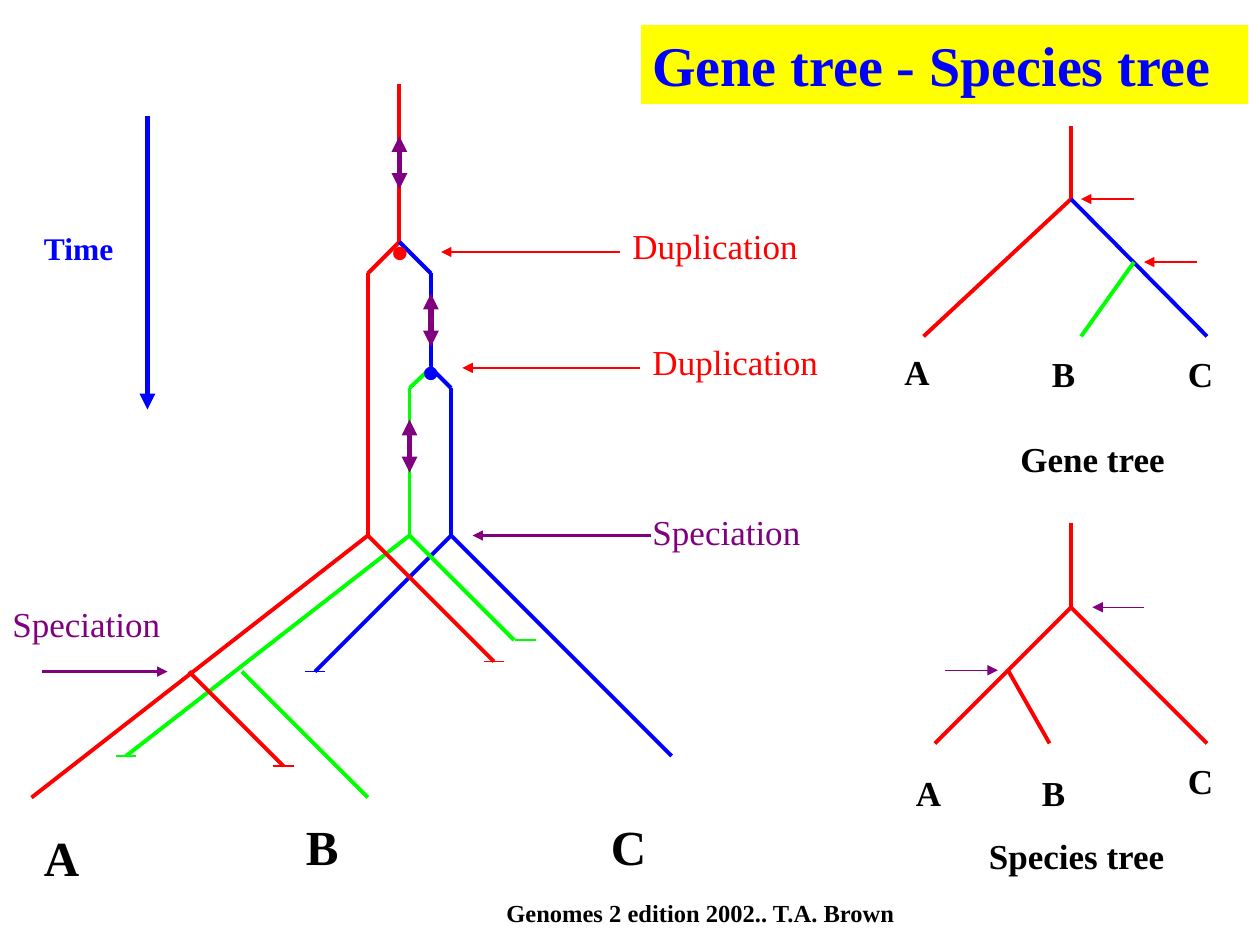
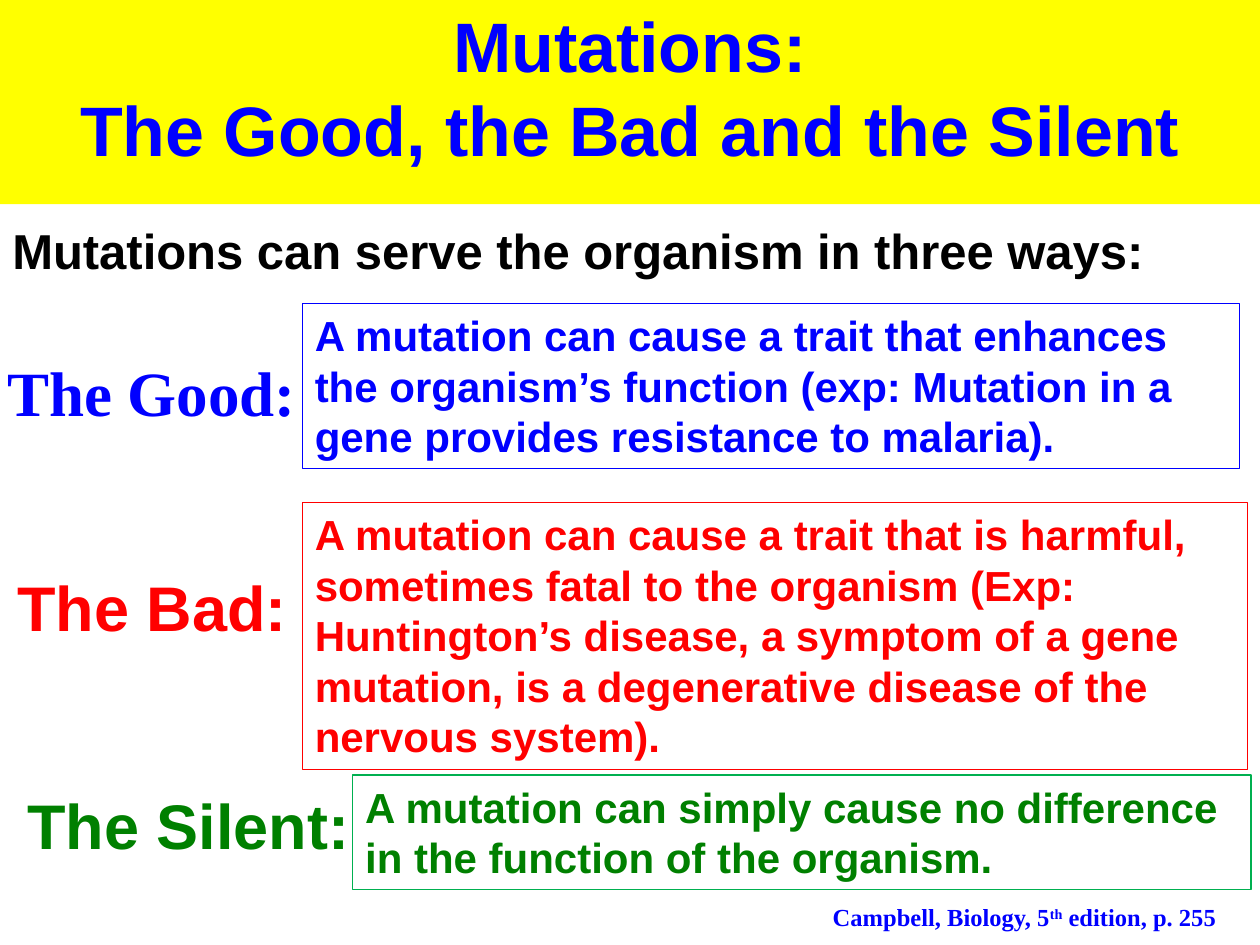
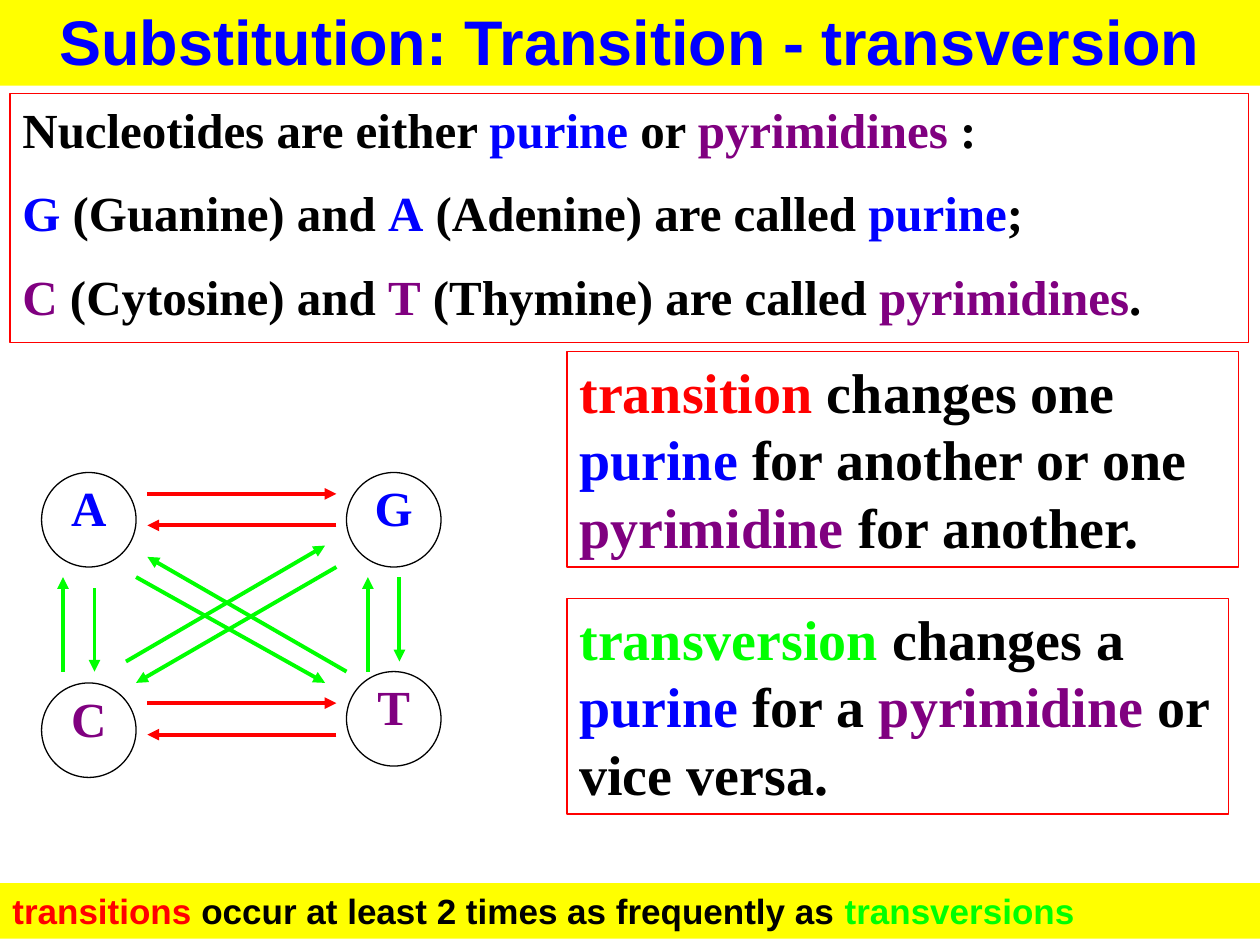
from dataclasses import dataclass
from itertools import pairwise
from typing import NamedTuple

from lxml.etree import SubElement
from pptx import Presentation
from pptx.dml.color import RGBColor
from pptx.enum.shapes import MSO_CONNECTOR, MSO_SHAPE
from pptx.enum.text import MSO_ANCHOR, PP_ALIGN
from pptx.oxml.ns import qn
from pptx.slide import Slide
from pptx.util import Inches, Pt

RED = RGBColor(0xFF, 0x00, 0x00)
BLUE = RGBColor(0x00, 0x00, 0xFF)
LIME = RGBColor(0x00, 0xFF, 0x00)
GREEN = RGBColor(0x00, 0x80, 0x00)
EMERALD = RGBColor(0x00, 0xB0, 0x50)
PURPLE = RGBColor(0x80, 0x00, 0x80)
YELLOW = RGBColor(0xFF, 0xFF, 0x00)
BLACK = RGBColor(0x00, 0x00, 0x00)
WHITE = RGBColor(0xFF, 0xFF, 0xFF)
SERIF = "Times New Roman"
SANS = "Arial"

Point = tuple[float, float]


class Box(NamedTuple):
    left: float
    top: float
    width: float
    height: float


class Piece(NamedTuple):
    text: str
    color: RGBColor = BLACK
    superscript: bool = False


class Branch(NamedTuple):
    color: RGBColor
    points: tuple[Point, ...]


class Arrow(NamedTuple):
    start: Point
    end: Point
    color: RGBColor
    width: float
    double: bool = False


@dataclass(frozen=True)
class Label:
    box: Box
    paragraphs: tuple[tuple[Piece, ...], ...]
    size: float
    font: str = SERIF
    bold: bool = True
    centered: bool = False
    fill: RGBColor | None = None
    outline: RGBColor | None = None
    space_before: float = 0
    oval: bool = False


def plain(text: str, color: RGBColor = BLACK) -> tuple[tuple[Piece, ...], ...]:
    return ((Piece(text, color),),)


def draw_label(slide: Slide, label: Label) -> None:
    bounds = [Inches(length) for length in label.box]
    if label.fill is None and label.outline is None:
        shape = slide.shapes.add_textbox(*bounds)
    else:
        preset = MSO_SHAPE.OVAL if label.oval else MSO_SHAPE.RECTANGLE
        shape = slide.shapes.add_shape(preset, *bounds)
        shape.shadow.inherit = False
        if label.fill is None:
            shape.fill.background()
        else:
            shape.fill.solid()
            shape.fill.fore_color.rgb = label.fill
        if label.outline is None:
            shape.line.fill.background()
        else:
            shape.line.color.rgb = label.outline
            shape.line.width = Pt(0.75)
    frame = shape.text_frame
    frame.word_wrap = True
    frame.vertical_anchor = MSO_ANCHOR.TOP
    if label.oval:
        frame.vertical_anchor = MSO_ANCHOR.MIDDLE
        frame.margin_left = frame.margin_right = frame.margin_top = 0
        frame.margin_bottom = Inches(0.2)
    for index, pieces in enumerate(label.paragraphs):
        paragraph = frame.add_paragraph() if index else frame.paragraphs[0]
        paragraph.alignment = PP_ALIGN.CENTER if label.centered else PP_ALIGN.LEFT
        if index and label.space_before:
            paragraph.space_before = Pt(label.space_before)
        for piece in pieces:
            run = paragraph.add_run()
            run.text = piece.text
            run.font.name = label.font
            run.font.size = Pt(label.size)
            run.font.bold = label.bold
            run.font.color.rgb = piece.color
            if piece.superscript:
                run.font._element.set("baseline", "30000")


def draw_line(slide: Slide, start: Point, end: Point, color: RGBColor,
              width: float, ends: tuple[str, ...] = ()) -> None:
    connector = slide.shapes.add_connector(
        MSO_CONNECTOR.STRAIGHT, *[Inches(length) for length in (*start, *end)])
    connector.line.color.rgb = color
    connector.line.width = Pt(width)
    outline = connector.line._get_or_add_ln()
    for end_name in ends:
        SubElement(outline, qn(f"a:{end_name}"), type="triangle")
    SubElement(connector._element.spPr, qn("a:effectLst"))


def draw_arrow(slide: Slide, arrow: Arrow) -> None:
    ends = ("headEnd", "tailEnd") if arrow.double else ("tailEnd",)
    draw_line(slide, arrow.start, arrow.end, arrow.color, arrow.width, ends)


def draw_branch(slide: Slide, branch: Branch) -> None:
    for start, end in pairwise(branch.points):
        draw_line(slide, start, end, branch.color, 2.25)


def draw_lost_copy(slide: Slide, center: Point, color: RGBColor) -> None:
    x, y = center
    draw_line(slide, (x - 0.08, y), (x + 0.08, y), color, 0.75)


def draw_title(slide: Slide, box: Box, size: float, *lines: str) -> None:
    paragraphs = tuple((Piece(line, BLUE),) for line in lines)
    draw_label(slide, Label(box, paragraphs, size, SANS, centered=True, fill=YELLOW))


def build_trees(slide: Slide) -> None:
    branches = [
        Branch(RED, ((3.17, 0.67), (3.17, 1.92), (2.92, 2.17), (2.92, 4.25), (0.25, 6.33))),
        Branch(BLUE, ((3.17, 1.92), (3.42, 2.17), (3.42, 2.92), (3.58, 3.08),
                      (3.58, 4.25), (5.33, 6))),
        Branch(LIME, ((3.42, 2.92), (3.25, 3.08), (3.25, 4.25), (1, 6))),
        Branch(BLUE, ((3.58, 4.25), (2.5, 5.33))),
        Branch(LIME, ((3.25, 4.25), (4.08, 5.08))),
        Branch(RED, ((2.92, 4.25), (3.92, 5.25))),
        Branch(LIME, ((1.92, 5.33), (2.92, 6.33))),
        Branch(RED, ((1.5, 5.33), (2.25, 6.08))),
        Branch(RED, ((8.5, 1), (8.5, 1.58), (7.33, 2.67))),
        Branch(BLUE, ((8.5, 1.58), (9.58, 2.67))),
        Branch(LIME, ((9, 2.08), (8.58, 2.67))),
        Branch(RED, ((8.5, 4.15), (8.5, 4.82), (7.42, 5.9))),
        Branch(RED, ((8.5, 4.82), (9.58, 5.9))),
        Branch(RED, ((8, 5.32), (8.33, 5.9))),
    ]
    for branch in branches:
        draw_branch(slide, branch)

    lost_copies = [((1, 6), LIME), ((2.25, 6.08), RED), ((2.5, 5.33), BLUE),
                   ((3.92, 5.25), RED), ((4.17, 5.08), LIME)]
    for center, color in lost_copies:
        draw_lost_copy(slide, center, color)

    arrows = [
        Arrow((1.17, 0.92), (1.17, 3.25), BLUE, 3),
        Arrow((4.92, 2), (3.5, 2), RED, 1.5),
        Arrow((5.08, 2.92), (3.67, 2.92), RED, 1.5),
        Arrow((5.17, 4.25), (3.75, 4.25), PURPLE, 1.5),
        Arrow((0.33, 5.33), (1.33, 5.33), PURPLE, 1.5),
        Arrow((9, 1.58), (8.58, 1.58), RED, 0.75),
        Arrow((9.5, 2.08), (9.08, 2.08), RED, 0.75),
        Arrow((9.08, 4.82), (8.67, 4.82), PURPLE, 0.75),
        Arrow((7.5, 5.32), (7.92, 5.32), PURPLE, 0.75),
    ]
    arrows += [Arrow((x, top), (x, top + 0.42), PURPLE, 3, double=True)
               for x, top in ((3.17, 1.08), (3.42, 2.33), (3.25, 3.33))]
    for arrow in arrows:
        draw_arrow(slide, arrow)

    events = [
        (Box(4.92, 1.73, 1.58, 0.43), "Duplication", RED, 20),
        (Box(5.08, 2.65, 1.58, 0.43), "Duplication", RED, 20),
        (Box(5.08, 4, 1.42, 0.43), "Speciation", PURPLE, 20),
        (Box(0, 4.73, 1.5, 0.43), "Speciation", PURPLE, 20),
        (Box(3, 1.67, 0.42, 0.63), "•", RED, 32),
        (Box(3.25, 2.62, 0.42, 0.63), "•", BLUE, 32),
    ]
    for box, text, color, size in events:
        draw_label(slide, Label(box, plain(text, color), size, bold=False))

    captions = [
        (Box(0.25, 6.52, 0.5, 0.57), "A", 28),
        (Box(2.33, 6.43, 0.58, 0.57), "B", 28),
        (Box(4.75, 6.43, 0.67, 0.57), "C", 28),
        (Box(7.08, 2.73, 0.58, 0.43), "A", 20),
        (Box(8.25, 2.75, 0.5, 0.43), "B", 20),
        (Box(9.33, 2.75, 0.42, 0.43), "C", 20),
        (Box(8, 3.42, 1.42, 0.43), "Gene tree", 20),
        (Box(7.17, 6.07, 0.5, 0.43), "A", 20),
        (Box(8.17, 6.07, 0.42, 0.43), "B", 20),
        (Box(9.33, 5.98, 0.42, 0.43), "C", 20),
        (Box(7.75, 6.57, 1.83, 0.43), "Species tree", 20),
        (Box(3.92, 7.08, 3.75, 0.33), "Genomes 2 edition 2002.. T.A. Brown", 14),
    ]
    for box, text, size in captions:
        draw_label(slide, Label(box, plain(text), size))
    draw_label(slide, Label(Box(0.25, 1.77, 0.83, 0.4), plain("Time", BLUE), 18))
    draw_label(slide, Label(Box(5.08, 0.19, 4.83, 0.64),
                            plain("Gene tree - Species tree", BLUE), 32,
                            fill=YELLOW, outline=WHITE))


def build_mutations(slide: Slide) -> None:
    draw_title(slide, Box(0, -0.03, 10, 1.65), 40,
               "Mutations:", "The Good, the Bad and the Silent")
    draw_label(slide, Label(Box(0, 1.7, 10, 0.57),
                            plain("Mutations can serve the organism in three ways:"), 28, SANS))
    effects = [
        (Box(-0.04, 2.76, 2.6, 0.71), "The Good:", SERIF, BLUE,
         Box(2.4, 2.41, 7.44, 1.31), BLUE,
         "A mutation can cause a trait that enhances the organism’s function "
         "(exp: Mutation in a gene provides resistance to malaria)."),
        (Box(0.04, 4.46, 2.5, 0.71), "The Bad:", SANS, RED,
         Box(2.4, 3.99, 7.5, 2.12), RED,
         "A mutation can cause a trait that is harmful, sometimes fatal to the organism "
         "(Exp: Huntington’s disease, a symptom of a gene mutation, is a degenerative "
         "disease of the nervous system)."),
        (Box(0.12, 6.19, 2.78, 0.71), "The Silent:", SANS, GREEN,
         Box(2.8, 6.15, 7.13, 0.91), EMERALD,
         "A mutation can simply cause no difference in the function of the organism."),
    ]
    for name_box, name, font, color, text_box, outline, text in effects:
        draw_label(slide, Label(name_box, plain(name, color), 36, font))
        draw_label(slide, Label(text_box, plain(text, color), 24, SANS, outline=outline))
    citation = (Piece("Campbell, Biology, 5", BLUE), Piece("th", BLUE, superscript=True),
                Piece(" edition, p. 255", BLUE))
    draw_label(slide, Label(Box(6.34, 7.11, 3.58, 0.34), (citation,), 14, centered=True))


def build_substitution(slide: Slide) -> None:
    draw_title(slide, Box(0, -0.03, 10, 0.71), 36, "Substitution: Transition - transversion")
    purine = Piece("purine", BLUE)
    pyrimidine = Piece("pyrimidine", PURPLE)
    pyrimidines = Piece("pyrimidines", PURPLE)
    nucleotides = (
        (Piece("Nucleotides are either "), purine, Piece(" or "), pyrimidines, Piece(" :")),
        (Piece("G", BLUE), Piece(" (Guanine) and "), Piece("A", BLUE),
         Piece(" (Adenine) are called "), purine, Piece(";")),
        (Piece("C ", PURPLE), Piece("(Cytosine) and "), Piece("T", PURPLE),
         Piece(" (Thymine) are called "), pyrimidines, Piece(".")),
    )
    transition = (Piece("transition", RED), Piece(" changes one "), purine,
                  Piece(" for another or one "), pyrimidine, Piece(" for another."))
    transversion = (Piece("transversion", LIME), Piece(" changes a "), purine,
                    Piece(" for a "), pyrimidine, Piece(" or vice versa."))
    frequency = (Piece("transitions", RED),
                 Piece(" occur at least 2 times as frequently as "),
                 Piece("transversions", LIME))
    draw_label(slide, Label(Box(0.08, 0.74, 9.83, 1.98), nucleotides, 28,
                            outline=RED, space_before=14))
    draw_label(slide, Label(Box(4.5, 2.79, 5.33, 1.71), (transition,), 32, outline=RED))
    draw_label(slide, Label(Box(4.5, 4.75, 5.25, 1.71), (transversion,), 32, outline=RED))
    draw_label(slide, Label(Box(0, 7.01, 10, 0.44), (frequency,), 20, SANS, fill=YELLOW))

    bases = [("A", 0.33, 3.75, BLUE), ("G", 2.75, 3.75, BLUE),
             ("C", 0.33, 5.42, PURPLE), ("T", 2.75, 5.33, PURPLE)]
    for base, left, top, color in bases:
        draw_label(slide, Label(Box(left, top, 0.75, 0.75), plain(base, color), 28,
                                centered=True, fill=WHITE, outline=BLACK, oval=True))

    for y in (3.92, 5.58):
        draw_arrow(slide, Arrow((1.17, y), (2.67, y), RED, 2.25))
        draw_arrow(slide, Arrow((2.67, y + 0.25), (1.17, y + 0.25), RED, 2.25))
    transversions = [
        ((0.5, 5.33), (0.5, 4.58)), ((2.92, 5.33), (2.92, 4.58)),
        ((0.75, 4.67), (0.75, 5.33)), ((3.17, 4.58), (3.17, 5.25)),
        ((1, 5.25), (2.58, 4.33)), ((2.67, 4.5), (1.08, 5.42)),
        ((2.75, 5.33), (1.17, 4.42)), ((1.08, 4.58), (2.58, 5.42)),
    ]
    for start, end in transversions:
        draw_arrow(slide, Arrow(start, end, LIME, 2.25))


def main() -> None:
    presentation = Presentation()
    presentation.slide_width = Inches(10)
    presentation.slide_height = Inches(7.5)
    blank_layout = presentation.slide_layouts[6]
    for build in (build_trees, build_mutations, build_substitution):
        build(presentation.slides.add_slide(blank_layout))
    presentation.save("out.pptx")


if __name__ == "__main__":
    main()
